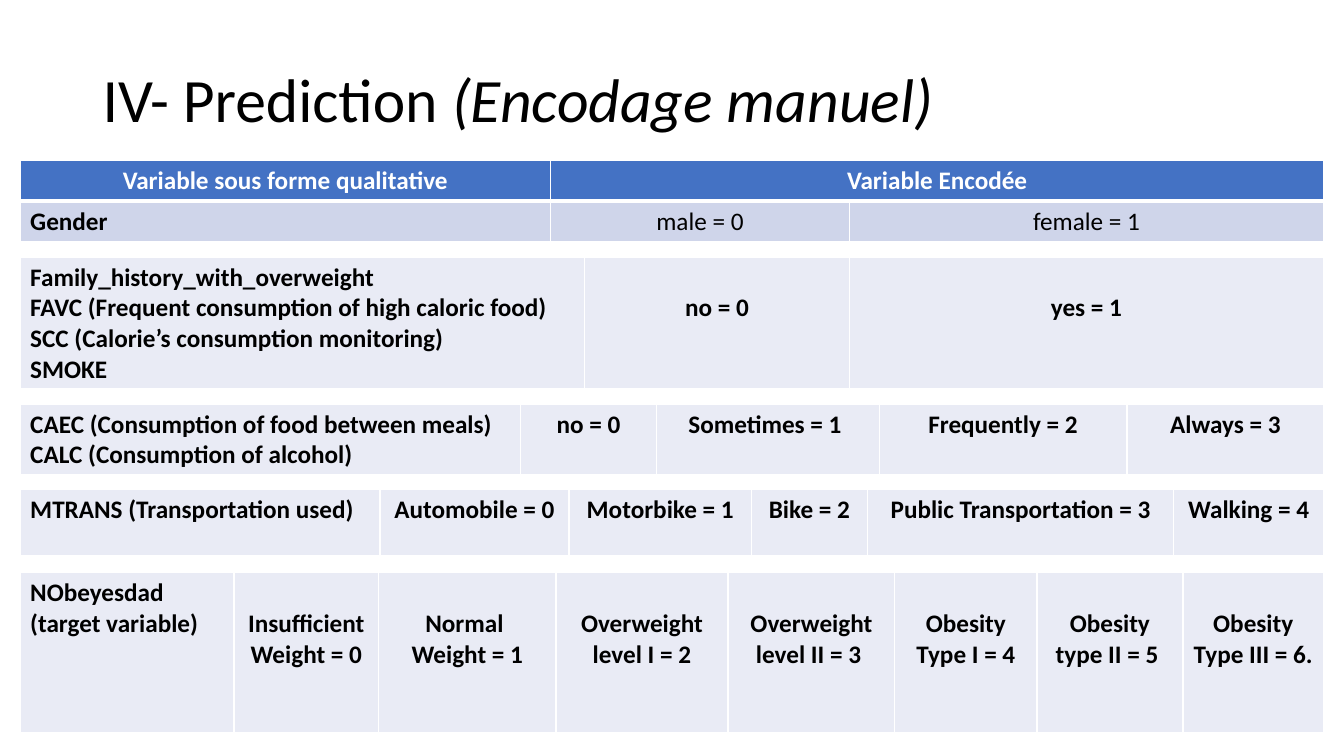
from dataclasses import dataclass

from lxml import etree
from pptx import Presentation
from pptx.dml.color import RGBColor
from pptx.enum.text import MSO_ANCHOR, PP_ALIGN
from pptx.oxml.ns import qn
from pptx.util import Emu, Inches, Pt

FONT = "Calibri"
WHITE = RGBColor(0xFF, 0xFF, 0xFF)
BLACK = RGBColor(0, 0, 0)
HEADER_BLUE = RGBColor(0x44, 0x72, 0xC4)
BAND_BLUE = RGBColor(0xCF, 0xD5, 0xEA)
PALE_BLUE = RGBColor(0xE9, 0xEB, 0xF5)

SLIDE_W, SLIDE_H = Inches(13.33), Inches(7.5)
TABLE_LEFT, TABLE_TOP = Inches(0.2), Inches(1.59)
TABLE_W = SLIDE_W - 2 * TABLE_LEFT
GAP = Inches(0.16)
CELL_MARGIN, LINE_H = Inches(0.05), Inches(0.305)


@dataclass
class Row:
    cells: list[str]
    height: float  # inches
    fill: RGBColor = PALE_BLUE
    color: RGBColor = BLACK
    bold_values: bool = True
    label_align: PP_ALIGN = PP_ALIGN.LEFT
    lowered: bool = False  # values start one line lower than the label
    bottom_pt: float = 3


@dataclass
class EncodingTable:
    shares: list[float]  # column widths, percent of the table width
    rows: list[Row]


TABLES = [
    EncodingTable([40.7, 22.9, 36.4], [
        Row(["Variable sous forme qualitative", "Variable Encodée"], 0.4,
            HEADER_BLUE, WHITE, label_align=PP_ALIGN.CENTER),
        Row(["Gender", "male = 0", "female = 1"], 0.4, BAND_BLUE,
            bold_values=False, bottom_pt=1),
    ]),
    EncodingTable([43.3, 20.3, 36.4], [
        Row(["Family_history_with_overweight\n"
             "FAVC (Frequent consumption of high caloric food)\n"
             "SCC (Calorie’s consumption monitoring)\nSMOKE",
             "no = 0", "yes = 1"], 1.3, lowered=True),
    ]),
    EncodingTable([38.4, 10.4, 17.1, 19, 15.1], [
        Row(["CAEC (Consumption of food between meals)\nCALC (Consumption of alcohol)",
             "no = 0", "Sometimes = 1 ", "Frequently = 2", "Always = 3"], 0.69,
            label_align=PP_ALIGN.JUSTIFY),
    ]),
    EncodingTable([27.6, 14.5, 14, 8.9, 23.5, 11.5], [
        Row(["MTRANS (Transportation used)", "Automobile = 0", "Motorbike = 1",
             "Bike = 2", "Public Transportation = 3", "Walking = 4"], 0.66),
    ]),
    EncodingTable([16.4, 11.1, 13.6, 13.2, 12.8, 10.9, 11.2, 10.8], [
        Row(["NObeyesdad (target variable)", "Insufficient Weight = 0",
             "Normal \nWeight = 1", "Overweight level I = 2",
             "Overweight level II = 3 ", "Obesity Type I = 4",
             "Obesity type II = 5 ", "Obesity Type III = 6."], 1.6,
            label_align=PP_ALIGN.JUSTIFY, lowered=True),
    ]),
]


def set_borders(cell, bottom_pt: float) -> None:
    props = cell._tc.get_or_add_tcPr()
    for side, width in (("L", 1), ("R", 1), ("T", 1), ("B", bottom_pt)):
        line = etree.SubElement(props, qn(f"a:ln{side}"), w=str(Pt(width)))
        solid = etree.SubElement(line, qn("a:solidFill"))
        etree.SubElement(solid, qn("a:srgbClr"), val=str(WHITE))


def fill_cell(cell, text: str, row: Row, is_label: bool) -> None:
    set_borders(cell, row.bottom_pt)
    cell.fill.solid()
    cell.fill.fore_color.rgb = row.fill
    if row.lowered and not is_label:
        cell.margin_top = CELL_MARGIN + LINE_H
    cell.text_frame.text = text
    for paragraph in cell.text_frame.paragraphs:
        paragraph.alignment = row.label_align if is_label else PP_ALIGN.CENTER
        for run in paragraph.runs:
            run.font.name, run.font.size = FONT, Pt(18)
            run.font.bold = is_label or row.bold_values
            run.font.color.rgb = row.color


def draw_table(slide, spec: EncodingTable, top: int) -> int:
    """Draw one table and return its bottom edge."""
    height = sum(Inches(row.height) for row in spec.rows)
    table = slide.shapes.add_table(len(spec.rows), len(spec.shares), TABLE_LEFT,
                                   top, TABLE_W, height).table
    for column, share in zip(table.columns, spec.shares):
        column.width = Emu(int(TABLE_W * share / 100))
    last = len(spec.shares) - 1
    for r, row in enumerate(spec.rows):
        table.rows[r].height = Inches(row.height)
        if len(row.cells) <= last:  # the last heading spans the remaining columns
            table.cell(r, len(row.cells) - 1).merge(table.cell(r, last))
        for c, text in enumerate(row.cells):
            fill_cell(table.cell(r, c), text, row, c == 0)
    return top + height


def draw_title(slide) -> None:
    box = slide.shapes.add_textbox(int(SLIDE_W * 0.069), int(SLIDE_H * 0.039),
                                   int(SLIDE_W * 0.863), int(SLIDE_H * 0.193))
    frame = box.text_frame
    frame.word_wrap = True
    frame.vertical_anchor = MSO_ANCHOR.MIDDLE
    paragraph = frame.paragraphs[0]
    paragraph.line_spacing = 0.9
    for text, italic in (("IV- Prediction ", False), ("(Encodage manuel) ", True)):
        run = paragraph.add_run()
        run.text = text
        run.font.name, run.font.size, run.font.italic = FONT, Pt(44), italic
        run.font.color.rgb = BLACK


prs = Presentation()
prs.slide_width, prs.slide_height = SLIDE_W, SLIDE_H
slide = prs.slides.add_slide(prs.slide_layouts[6])

# Encoding tables, stacked with equal gaps
next_top = TABLE_TOP
for encoding in TABLES:
    next_top = draw_table(slide, encoding, next_top) + GAP

# Title
draw_title(slide)

prs.save("out.pptx")
